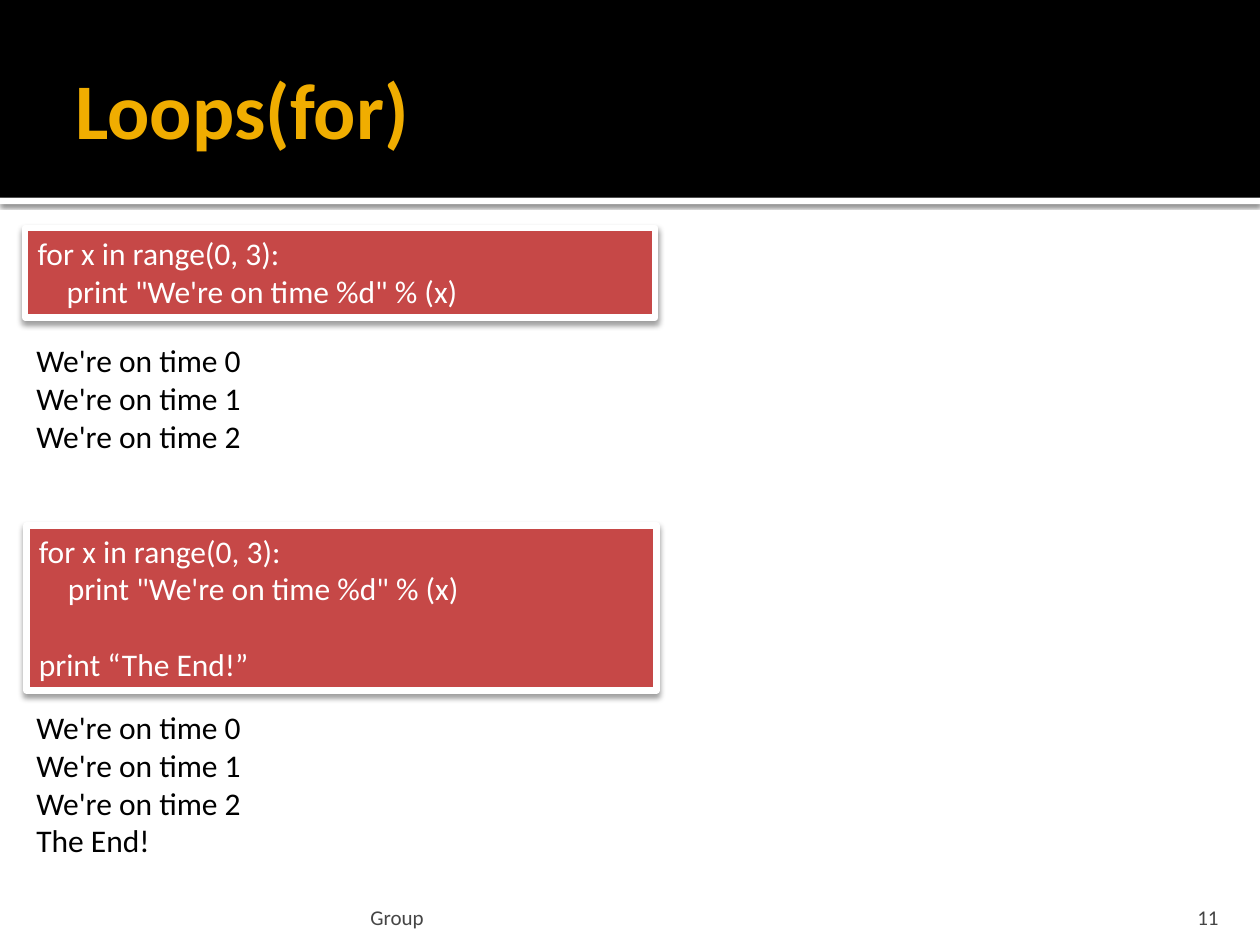
from lxml.etree import SubElement
from pptx import Presentation
from pptx.dml.color import RGBColor
from pptx.enum.shapes import MSO_SHAPE
from pptx.enum.text import MSO_ANCHOR, PP_ALIGN
from pptx.oxml.ns import qn
from pptx.util import Inches, Pt

FONT = "Calibri"
BLACK, WHITE = "000000", "FFFFFF"
GOLD, RED, GRAY = "F0AD00", "C64847", "454545"
LOOP = ["for x in range(0, 3):", "print \"We're on time %d\" % (x)"]
OUTPUT = [f"We're on time {number}" for number in range(3)]


def color(value):
    return RGBColor.from_string(value)


def add_shadow(shape, opacity, blur, distance):
    effects = shape.element.spPr.find(qn("a:effectLst"))
    shadow = SubElement(effects, qn("a:outerShdw"), blurRad=str(Pt(blur)),
                        dist=str(Pt(distance)), dir="5400000",
                        algn="t", rotWithShape="0")
    shade = SubElement(shadow, qn("a:srgbClr"), val=BLACK)
    SubElement(shade, qn("a:alpha"), val=str(opacity * 1000))


def add_rectangle(slide, left, top, width, height, fill):
    shape = slide.shapes.add_shape(MSO_SHAPE.RECTANGLE, Inches(left), Inches(top),
                                   Inches(width), Inches(height))
    shape.shadow.inherit = False
    shape.fill.solid()
    shape.fill.fore_color.rgb = color(fill)
    shape.line.fill.background()
    return shape


def set_frame(frame, anchor, left, top, right, bottom):
    frame.word_wrap = True
    frame.vertical_anchor = anchor
    frame.margin_left, frame.margin_top = Inches(left), Inches(top)
    frame.margin_right, frame.margin_bottom = Inches(right), Inches(bottom)


def write_lines(frame, lines, size, text_color, align=PP_ALIGN.LEFT, bold=False):
    frame.text = "\n".join(lines)
    for paragraph in frame.paragraphs:
        paragraph.alignment = align
        paragraph.font.name = FONT
        paragraph.font.size = Pt(size)
        paragraph.font.bold = bold
        paragraph.font.color.rgb = color(text_color)


def add_header(slide):
    stripe = add_rectangle(slide, 0, 1.57, 10, 0.05, WHITE)
    add_shadow(stripe, 60, 2.5, 0.8)
    add_rectangle(slide, 0, 0, 10, 1.57, BLACK)
    title = slide.shapes.title
    title.left, title.top = Inches(0.5), Inches(0.17)
    title.width, title.height = Inches(9), Inches(1.37)
    set_frame(title.text_frame, MSO_ANCHOR.MIDDLE, 0.1, 0.05, 0.05, 0.05)
    write_lines(title.text_frame, ["Loops(for)"], 45, GOLD, bold=True)
    title.element.getparent().append(title.element)


def add_code(slide, left, top, height, lines):
    box = add_rectangle(slide, left, top, 5, height, RED)
    box.line.color.rgb = color(WHITE)
    box.line.width = Pt(3.82)
    add_shadow(box, 38, 3.5, 2)
    set_frame(box.text_frame, MSO_ANCHOR.TOP, 0.1, 0.05, 0.1, 0.05)
    write_lines(box.text_frame, lines, 18, WHITE)
    paragraphs = box.text_frame.paragraphs
    paragraphs[1]._p.get_or_add_pPr().set("marL", str(Inches(0.23)))
    for paragraph in paragraphs[2:]:
        paragraph.space_before = Pt(21.5)


def add_text(slide, left, top, width, height, lines, size=18, text_color=BLACK,
             align=PP_ALIGN.LEFT, anchor=MSO_ANCHOR.TOP, side=0.1, bottom=0.05):
    box = slide.shapes.add_textbox(Inches(left), Inches(top),
                                   Inches(width), Inches(height))
    set_frame(box.text_frame, anchor, side, 0.05, side, bottom)
    write_lines(box.text_frame, lines, size, text_color, align)


def add_footer(slide, left, width, text, align, side):
    add_text(slide, left, 7.08, width, 0.3, [text], 12, GRAY, align,
             MSO_ANCHOR.BOTTOM, side, 0)


def main():
    presentation = Presentation()
    presentation.slide_width, presentation.slide_height = Inches(10), Inches(7.5)
    slide = presentation.slides.add_slide(presentation.slide_layouts[5])
    add_header(slide)
    add_code(slide, 0.2, 1.81, 0.71, LOOP)
    add_text(slide, 0.19, 2.66, 5, 1.01, OUTPUT)
    add_code(slide, 0.21, 4.17, 1.31, LOOP + ["print “The End!”"])
    add_text(slide, 0.19, 5.57, 5, 1.31, OUTPUT + ["The End!"])
    add_footer(slide, 2.89, 6.02, "Group", PP_ALIGN.LEFT, 0.05)
    add_footer(slide, 8.97, 0.8, "11", PP_ALIGN.RIGHT, 0.1)
    presentation.save("out.pptx")


if __name__ == "__main__":
    main()
